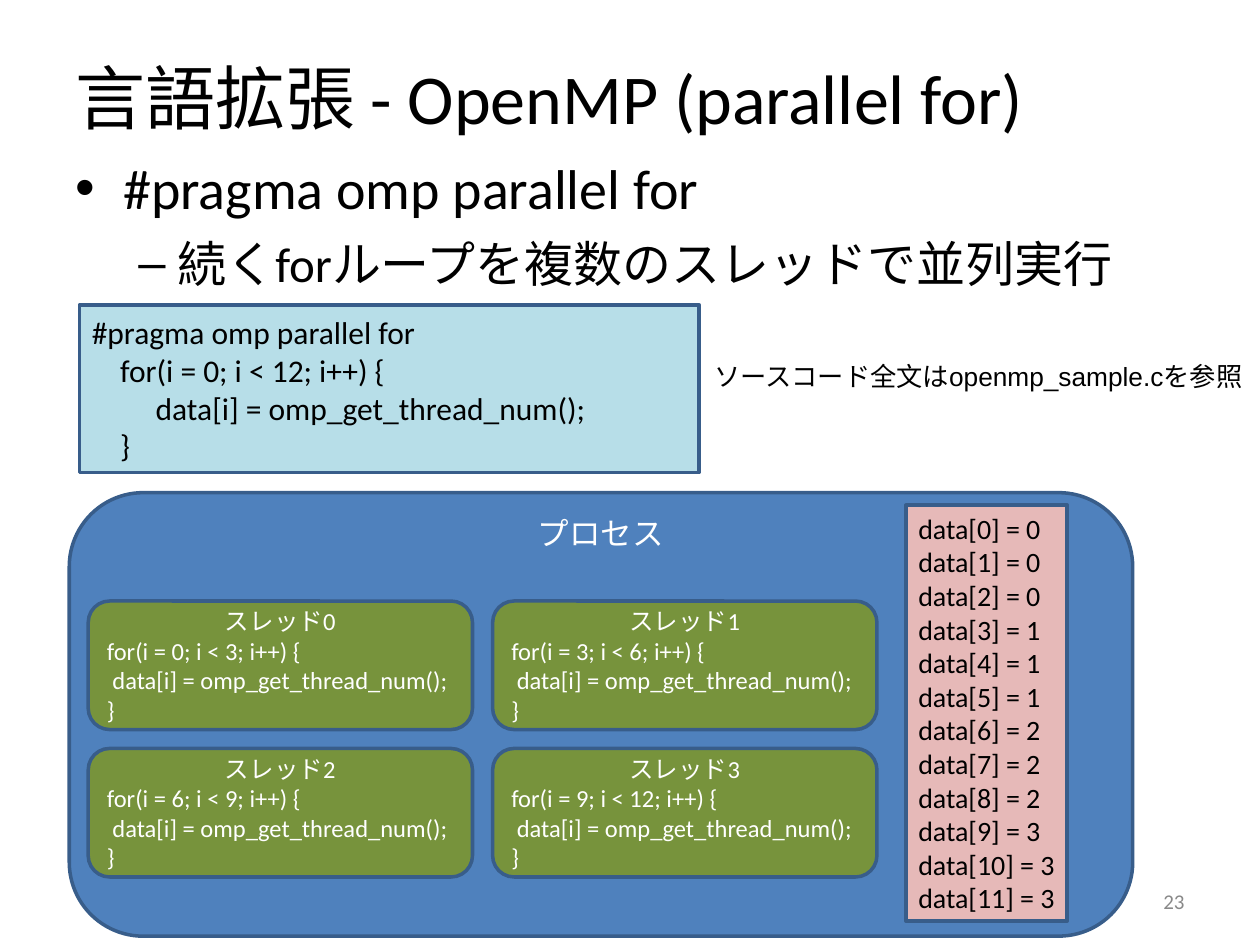
from dataclasses import dataclass

from lxml.etree import SubElement
from pptx import Presentation
from pptx.dml.color import RGBColor
from pptx.enum.shapes import MSO_SHAPE
from pptx.enum.text import MSO_ANCHOR, PP_ALIGN
from pptx.oxml.ns import qn
from pptx.util import Inches, Pt


@dataclass(frozen=True)
class Theme:
    font: str = "Calibri"
    note_font: str = "Arial"
    black: str = "000000"
    white: str = "FFFFFF"
    gray: str = "898989"
    outline: str = "385D8A"
    process: str = "4F81BD"
    thread: str = "77933C"
    data: str = "E6B9B8"
    code: str = "B7DEE8"
    title_size: int = 40
    bullet_size: int = 32
    sub_size: int = 28
    code_size: int = 18
    data_size: int = 16
    note_size: int = 15
    thread_size: int = 14
    number_size: int = 12


THEME = Theme()
THREADS = 4
ITERATIONS = 12
CHUNK = ITERATIONS // THREADS
CALL = "data[i] = omp_get_thread_num();"


def loop(start, end):
    return f"for(i = {start}; i < {end}; i++) {{"


def add_run(p, text, size, color=THEME.black, font=THEME.font):
    r = p.add_run()
    r.text = text
    r.font.size = Pt(size)
    r.font.name = font
    r.font.color.rgb = RGBColor.from_string(color)


def add_lines(tf, lines, size, color=THEME.black, font=THEME.font, align=PP_ALIGN.LEFT):
    for i, line in enumerate(lines):
        p = tf.add_paragraph() if i else tf.paragraphs[0]
        p.alignment = align
        add_run(p, line, size, color, font)


def add_text_box(s, box, anchor=MSO_ANCHOR.TOP, wrap=True):
    tf = s.shapes.add_textbox(*map(Inches, box)).text_frame
    tf.word_wrap = wrap
    tf.vertical_anchor = anchor
    return tf


def add_panel(s, kind, box, fill, anchor=MSO_ANCHOR.MIDDLE, wrap=True):
    sp = s.shapes.add_shape(kind, *map(Inches, box))
    sp.shadow.inherit = False
    sp.fill.solid()
    sp.fill.fore_color.rgb = RGBColor.from_string(fill)
    sp.line.color.rgb = RGBColor.from_string(THEME.outline)
    sp.line.width = Pt(2)
    tf = sp.text_frame
    tf.word_wrap = wrap
    tf.vertical_anchor = anchor
    return tf


def add_bullet(p, char, text, size, left, hanging):
    pPr = p._p.get_or_add_pPr()
    pPr.set("marL", str(Inches(left)))
    pPr.set("indent", str(-Inches(hanging)))
    SubElement(pPr, qn("a:buFont"), typeface=THEME.note_font)
    SubElement(pPr, qn("a:buChar"), char=char)
    add_run(p, text, size)


def add_bullets(s):
    tf = add_text_box(s, (0.5, 1.17, 9, 2.66))
    add_bullet(tf.paragraphs[0], "•", "#pragma omp parallel for",
               THEME.bullet_size, 0.38, 0.38)
    p = tf.add_paragraph()
    p.level = 1
    p.space_before = Pt(7)
    add_bullet(p, "–", "続くforループを複数のスレッドで並列実行",
               THEME.sub_size, 0.81, 0.31)


def add_process(s):
    tf = add_panel(s, MSO_SHAPE.ROUNDED_RECTANGLE, (0.55, 3.91, 8.44, 3.52),
                   THEME.process, MSO_ANCHOR.TOP)
    tf.margin_top = 0
    add_lines(tf, ["プロセス"], THEME.code_size, THEME.white, align=PP_ALIGN.CENTER)


def add_data(s):
    tf = add_panel(s, MSO_SHAPE.RECTANGLE, (7.19, 4.01, 1.28, 3.3),
                   THEME.data, MSO_ANCHOR.TOP, wrap=False)
    add_lines(tf, [f"data[{i}] = {i // CHUNK}" for i in range(ITERATIONS)],
              THEME.data_size)


def add_thread(s, n):
    row, col = divmod(n, 2)
    tf = add_panel(s, MSO_SHAPE.ROUNDED_RECTANGLE,
                   (0.7 + 3.21 * col, 4.77 + 1.17 * row, 3.05, 1.02), THEME.thread)
    add_lines(tf, [f"スレッド{n}", loop(n * CHUNK, (n + 1) * CHUNK), " " + CALL, "}"],
              THEME.thread_size, THEME.white)
    tf.paragraphs[0].alignment = PP_ALIGN.CENTER


def add_code(s):
    tf = add_panel(s, MSO_SHAPE.RECTANGLE, (0.63, 2.42, 4.92, 1.33), THEME.code)
    add_lines(tf, ["#pragma omp parallel for", "    " + loop(0, ITERATIONS),
                   "         " + CALL, "    }"], THEME.code_size)


def main():
    prs = Presentation()
    prs.slide_width, prs.slide_height = Inches(10), Inches(7.5)
    s = prs.slides.add_slide(prs.slide_layouts[6])

    title = add_text_box(s, (0.5, 0.3, 9, 0.93), MSO_ANCHOR.MIDDLE)
    add_lines(title, ["言語拡張 - OpenMP (parallel for)"], THEME.title_size)
    number = add_text_box(s, (7.17, 6.95, 2.33, 0.4), MSO_ANCHOR.MIDDLE)
    add_lines(number, ["23"], THEME.number_size, THEME.gray, align=PP_ALIGN.RIGHT)
    add_bullets(s)
    add_process(s)
    add_data(s)
    for n in range(THREADS):
        add_thread(s, n)
    add_code(s)
    note = add_text_box(s, (5.57, 2.81, 4.5, 0.35), wrap=False)
    add_lines(note, ["ソースコード全文はopenmp_sample.cを参照"],
              THEME.note_size, font=THEME.note_font)

    prs.save("out.pptx")


if __name__ == "__main__":
    main()
